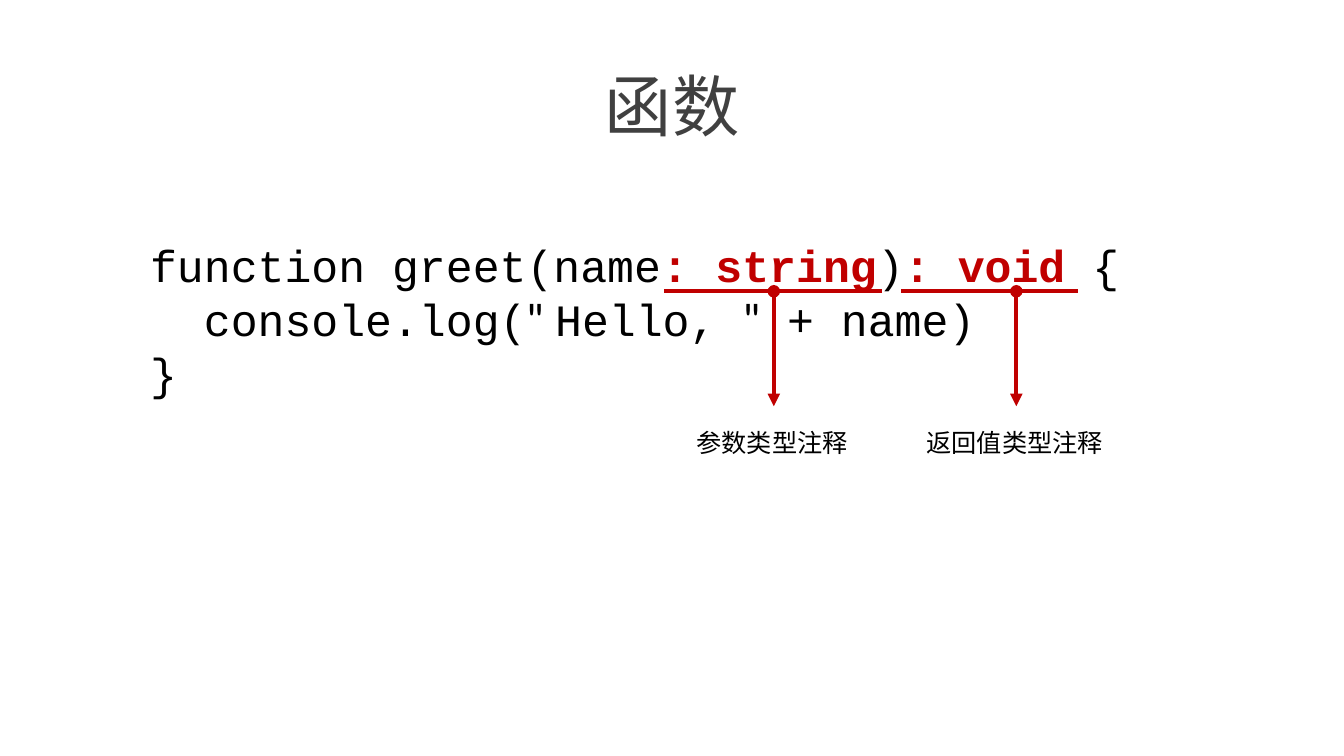
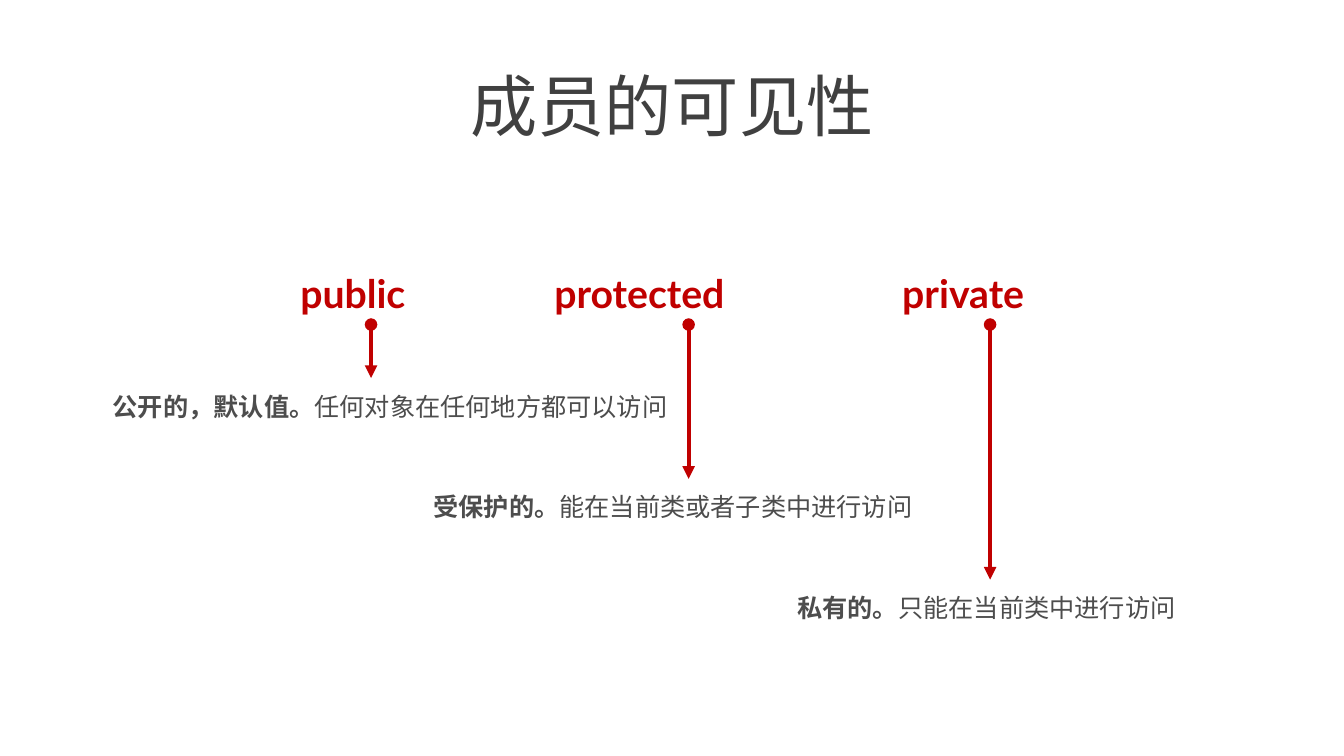
"""Build two slides on type annotations and member visibility."""
from lxml import etree
from pptx import Presentation
from pptx.dml.color import RGBColor
from pptx.enum import shapes, text
from pptx.oxml import ns
from pptx.util import Inches, Pt

RED = RGBColor(0xC0, 0x00, 0x00)
BLACK = RGBColor(0x00, 0x00, 0x00)
TITLE_GRAY = RGBColor(0x40, 0x40, 0x40)
BODY_GRAY = RGBColor(0x4D, 0x4D, 0x4D)
SANS, MONO, CHINESE = "Lato", "Courier New", "Noto Sans CJK SC"


def write(shape, lines, size=18, font=SANS, color=BLACK, bold=False, wrap=True,
          align=text.PP_ALIGN.LEFT, spacing=1.0):
    """Fill a shape with lines of (text, format changes) runs."""
    frame = shape.text_frame
    frame.word_wrap = wrap
    frame.auto_size = text.MSO_AUTO_SIZE.NONE
    for index, runs in enumerate(lines):
        paragraph = frame.add_paragraph() if index else frame.paragraphs[0]
        paragraph.alignment = align
        paragraph.line_spacing = spacing
        for content, changes in runs:
            style = {"font": font, "color": color, "bold": bold} | changes
            run = paragraph.add_run()
            run.text = content
            run.font.size = Pt(size)
            run.font.bold = style["bold"]
            run.font.color.rgb = style["color"]
            run.font.name = style["font"]
            east_asian = etree.SubElement(run.font._element, ns.qn("a:ea"))
            east_asian.set("typeface", CHINESE)


def draw_line(slide, x1, y1, x2, y2, arrow=False):
    """Draw a red line, or an arrow that starts with a dot."""
    connector = slide.shapes.add_connector(
        shapes.MSO_CONNECTOR.STRAIGHT, Inches(x1), Inches(y1), Inches(x2), Inches(y2))
    connector.line.color.rgb = RED
    connector.line.width = Pt(3)
    if arrow:
        outline = connector.line._get_or_add_ln()
        etree.SubElement(outline, ns.qn("a:headEnd"), type="oval")
        etree.SubElement(outline, ns.qn("a:tailEnd"), type="triangle")
    etree.SubElement(connector._element.spPr, ns.qn("a:effectLst"))


presentation = Presentation()
presentation.slide_width = Inches(13.33)
presentation.slide_height = Inches(7.5)

slides = []
for heading in ("函数", "成员的可见性"):
    slide = presentation.slides.add_slide(presentation.slide_layouts[5])
    title = slide.shapes.title
    title.left, title.top = Inches(1.39), Inches(0.58)
    title.width, title.height = Inches(10.55), Inches(0.91)
    write(title, [[(heading, {})]], size=48, font=CHINESE, color=TITLE_GRAY,
          align=text.PP_ALIGN.CENTER)
    slides.append(slide)
function_slide, visibility_slide = slides

annotation = {"color": RED, "bold": True}
quote = {"font": SANS}
code = [
    [("function greet(name", {}), (": string", annotation), (")", {}),
     (": void", annotation), (" {", {})],
    [("  console.log(", {}), ("\" ", quote), ("Hello, ", {}), ("\"", quote),
     (" + name)", {})],
    [("}", {})],
]
code_box = function_slide.shapes.add_textbox(
    Inches(1.39), Inches(2.31), Inches(9.92), Inches(1.72))
write(code_box, code, size=32, font=MONO, wrap=False)

UNDERLINE_Y = 2.89
for label, start, end, label_left, label_width in (
        ("参数类型注释", 6.59, 8.75, 6.81, 1.73),
        ("返回值类型注释", 8.94, 10.69, 9.09, 1.98)):
    center = label_left + label_width / 2
    draw_line(function_slide, start, UNDERLINE_Y, end, UNDERLINE_Y)
    draw_line(function_slide, center, UNDERLINE_Y, center, 4.03, arrow=True)
    label_box = function_slide.shapes.add_textbox(
        Inches(label_left), Inches(4.19), Inches(label_width), Inches(0.4))
    write(label_box, [[(label, {})]], wrap=False)

members = (
    ("public", 2.88, 1.89, 3.68, "公开的，默认值。", "任何对象在任何地方都可以访问", 1.02, 5.79),
    ("protected", 5.4, 2.83, 6.83, "受保护的。", "能在当前类或者子类中进行访问", 4.2, 5.22),
    ("private", 8.85, 2.25, 9.82, "私有的。", "只能在当前类中进行访问", 7.81, 4.01),
)
for row, (keyword, left, width, arrow_x, meaning, detail,
          detail_left, detail_width) in enumerate(members):
    detail_top = 3.83 + row
    keyword_box = visibility_slide.shapes.add_textbox(
        Inches(left), Inches(2.39), Inches(width), Inches(0.75))
    write(keyword_box, [[(keyword, {})]], size=28, color=RED, bold=True, spacing=1.5)
    detail_box = visibility_slide.shapes.add_textbox(
        Inches(detail_left), Inches(detail_top), Inches(detail_width), Inches(0.4))
    write(detail_box, [[(meaning, {"bold": True}), (detail, {})]],
          color=BODY_GRAY, wrap=False)
    draw_line(visibility_slide, arrow_x, 3.22, arrow_x, detail_top - 0.08, arrow=True)

presentation.save("out.pptx")
